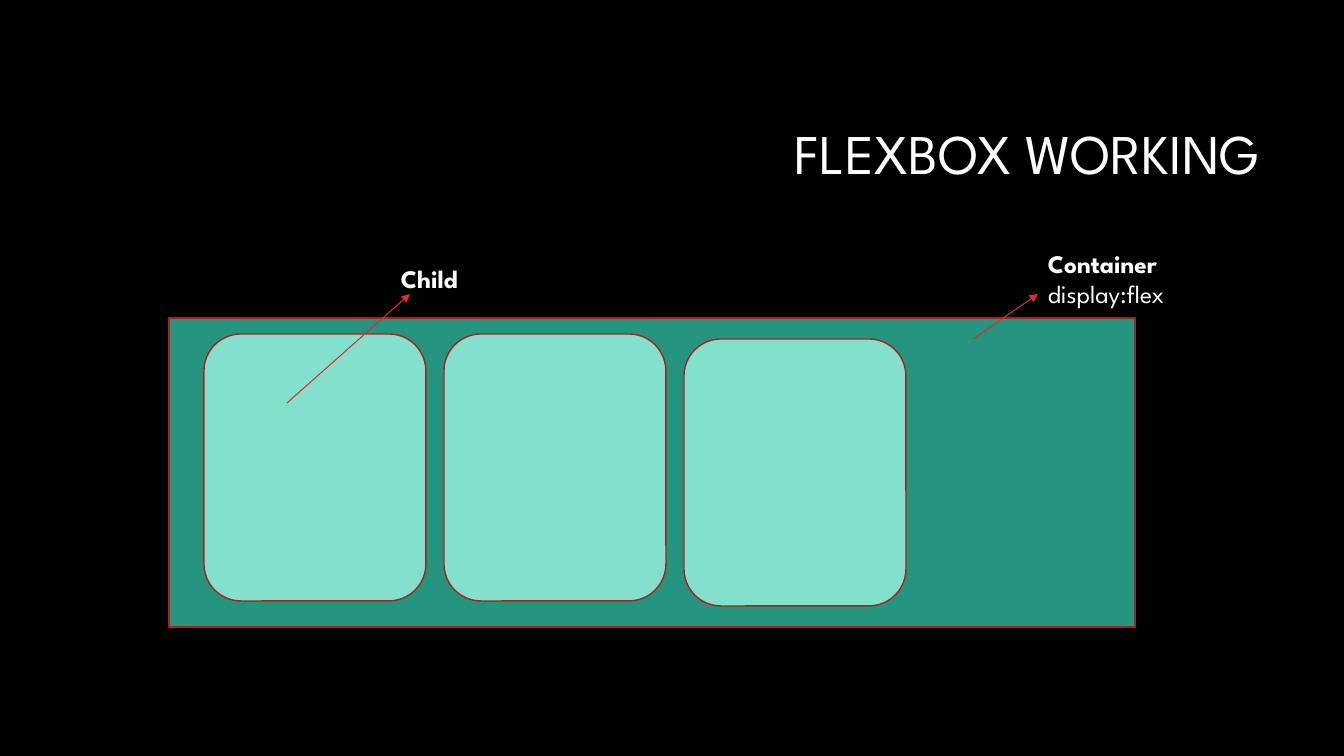
from dataclasses import dataclass

from lxml import etree
from pptx import Presentation
from pptx.dml.color import RGBColor
from pptx.enum.shapes import MSO_CONNECTOR, MSO_SHAPE
from pptx.enum.text import MSO_ANCHOR, PP_ALIGN
from pptx.oxml.ns import qn
from pptx.util import Pt

RECT, ROUNDED = MSO_SHAPE.RECTANGLE, MSO_SHAPE.ROUNDED_RECTANGLE
STRAIGHT = MSO_CONNECTOR.STRAIGHT
LEFT, RIGHT = PP_ALIGN.LEFT, PP_ALIGN.RIGHT
TOP, MIDDLE = MSO_ANCHOR.TOP, MSO_ANCHOR.MIDDLE

# Content: lengths in px, label lines as (text, bold)
PAGE_SIZE = (1344, 756)
TITLE = {"lines": [("FLEXBOX WORKING", False)], "at": (320, 85, 950, 142)}
LABELS = [
    {"lines": [("Container", True), ("display:flex", False)],
     "at": (1038, 243, 155, 72), "arrow": (973, 339, 1038, 294)},
    {"lines": [("Child", True)],
     "at": (391, 258, 85, 40), "arrow": (287, 403, 410, 294)},
]
CONTAINER = (169, 318, 966, 309)
CHILD_TOPS = [334, 334, 339]
CHILD_LEFT, CHILD_STEP = 204, 240
CHILD_SIZE = (222, 267)


@dataclass(frozen=True)
class Theme:
    font: str = "League Spartan"
    background: str = "000000"
    text: str = "FFFFFF"
    container: str = "26957F"
    child: str = "82E0CD"
    outline: str = "A5221E"
    arrow: str = "DF2E28"
    title_size: int = 40
    label_size: int = 18
    outline_width: float = 1
    arrow_width: float = 0.75


THEME = Theme()
EMU_PER_PX = 914400 / 100.8


def emu(lengths):
    return [round(length * EMU_PER_PX) for length in lengths]


def color(value):
    return RGBColor.from_string(value)


def add_box(page, kind, at, fill):
    box = page.shapes.add_shape(kind, *emu(at))
    box.shadow.inherit = False
    box.fill.solid()
    box.fill.fore_color.rgb = color(fill)
    box.line.color.rgb = color(THEME.outline)
    box.line.width = Pt(THEME.outline_width)


def add_text(page, lines, at, size, align=LEFT, anchor=TOP, wrap=False, spacing=1.0):
    frame = page.shapes.add_textbox(*emu(at)).text_frame
    frame.word_wrap = wrap
    frame.vertical_anchor = anchor
    para = frame.paragraphs[0]
    para.alignment = align
    para.line_spacing = spacing
    para.font.name = THEME.font
    para.font.size = Pt(size)
    para.font.color.rgb = color(THEME.text)
    for index, (text, bold) in enumerate(lines):
        if index:
            para.add_line_break()
        span = para.add_run()
        span.text = text
        span.font.bold = bold
        span.font.name = THEME.font
        span.font.size = Pt(size)
        span.font.color.rgb = color(THEME.text)


def add_arrow(page, ends):
    arrow = page.shapes.add_connector(STRAIGHT, *emu(ends))
    arrow.line.color.rgb = color(THEME.arrow)
    arrow.line.width = Pt(THEME.arrow_width)
    etree.SubElement(arrow.line._get_or_add_ln(), qn("a:tailEnd"), type="triangle")
    etree.SubElement(arrow._element.spPr, qn("a:effectLst"))


def main():
    deck = Presentation()
    deck.slide_width, deck.slide_height = emu(PAGE_SIZE)
    page = deck.slides.add_slide(deck.slide_layouts[6])
    page.background.fill.solid()
    page.background.fill.fore_color.rgb = color(THEME.background)

    # Title
    add_text(page, TITLE["lines"], TITLE["at"], THEME.title_size,
             align=RIGHT, anchor=MIDDLE, wrap=True, spacing=0.9)

    # Container with its row of children
    add_box(page, RECT, CONTAINER, THEME.container)
    for column, top in enumerate(CHILD_TOPS):
        left = CHILD_LEFT + column * CHILD_STEP
        add_box(page, ROUNDED, (left, top, *CHILD_SIZE), THEME.child)

    # Labels and their arrows
    for label in LABELS:
        add_arrow(page, label["arrow"])
        add_text(page, label["lines"], label["at"], THEME.label_size)

    deck.save("out.pptx")


if __name__ == "__main__":
    main()
